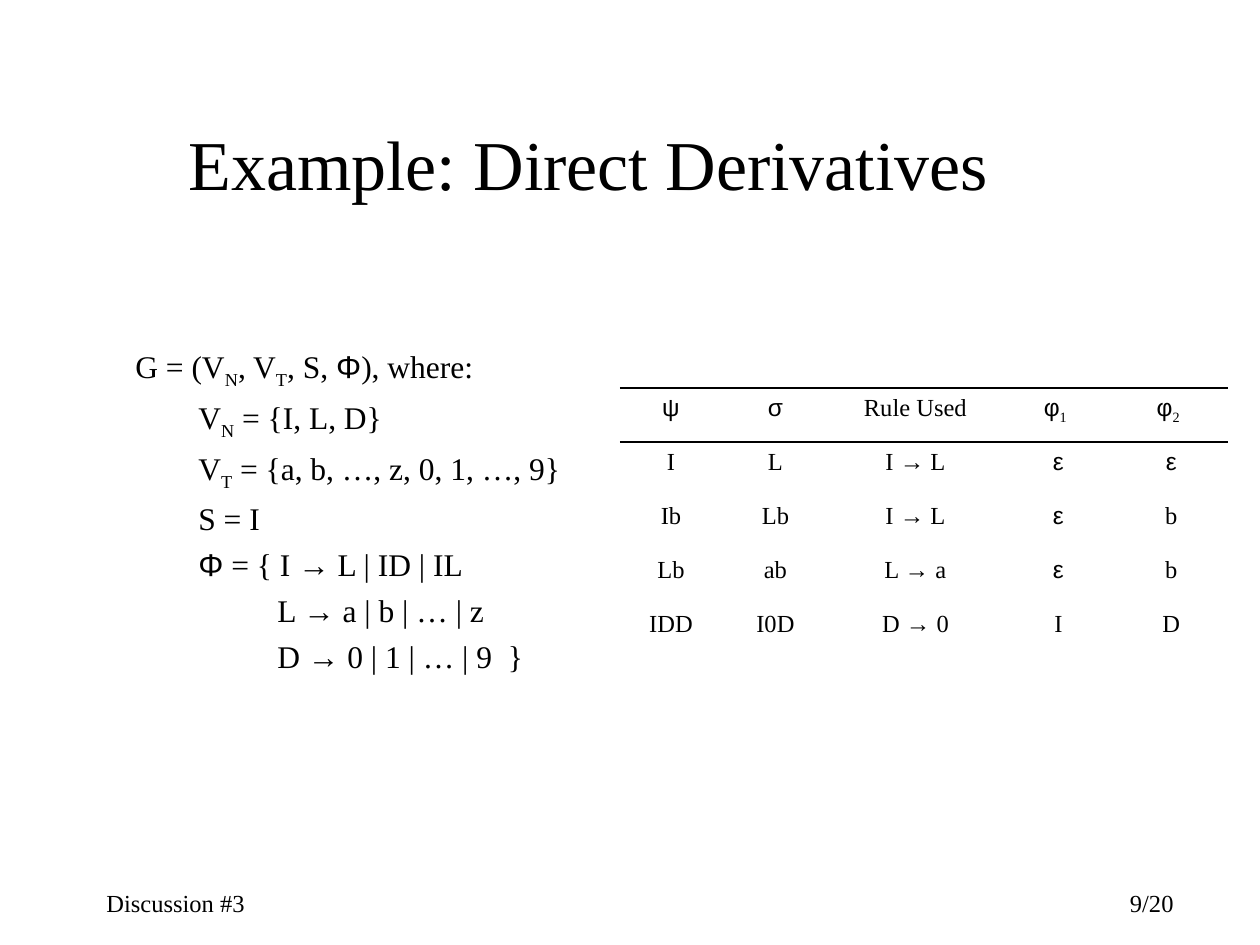
from dataclasses import dataclass

from lxml import etree
from pptx import Presentation
from pptx.dml.color import RGBColor
from pptx.enum.text import MSO_ANCHOR, PP_ALIGN
from pptx.oxml.ns import qn
from pptx.util import Emu, Pt

LEFT, CENTER, RIGHT = PP_ALIGN.LEFT, PP_ALIGN.CENTER, PP_ALIGN.RIGHT
TOP, MIDDLE = MSO_ANCHOR.TOP, MSO_ANCHOR.MIDDLE
EMU_PER_PX = 914400 / 126
COLORS = {"text": "000000", "rule": "000000"}
SERIF, SANS = "Times New Roman", "Arial"
SANS_CHARS = "Φψσφε→"
RULE_WIDTH = Pt(1.5)


@dataclass
class Line:
    text: str
    indent: int = 0
    space_before: float = 0


@dataclass
class TextBox:
    left: int
    top: int
    width: int
    height: int
    size: int
    lines: list[Line]
    align: PP_ALIGN = LEFT
    anchor: MSO_ANCHOR = TOP
    inset_top: int = 6


BOXES = [
    TextBox(94, 882, 262, 42, 14, [Line("Discussion #3")]),
    TextBox(924, 882, 262, 42, 14, [Line("9/20")], RIGHT),
    TextBox(53, 84, 1071, 158, 40, [Line("Example: Direct Derivatives")], CENTER, MIDDLE),
    TextBox(84, 262, 1071, 567, 18, [
        Line("G = (V_N, V_T, S, Φ), where:", 39),
        Line("V_N = {I, L, D}", 102, 4.5),
        Line("V_T = {a, b, …, z, 0, 1, …, 9}", 102, 4.5),
        Line("S = I", 102, 4.5),
        Line("Φ = { I → L | ID | IL", 102, 4.5),
        Line("L → a | b | … | z", 181, 4.5),
        Line("D → 0 | 1 | … | 9  }", 181, 4.5),
    ], inset_top=85),
]

COLUMN_WIDTHS = [102, 107, 173, 113, 113]
ROW_HEIGHT = 54
DERIVATIONS = [
    ["ψ", "σ", "Rule Used", "φ_1 ", "φ_2 "],
    ["I", "L", "I → L", "ε", "ε"],
    ["Ib", "Lb", "I → L", "ε", "b"],
    ["Lb", "ab", "L → a", "ε", "b"],
    ["IDD", "I0D", "D → 0", "I", "D"],
    [""] * 5,
]


def px(n: int) -> Emu:
    return Emu(round(n * EMU_PER_PX))


def split_runs(text: str) -> list[tuple[str, bool, bool]]:
    """Split into (text, is_sans, is_subscript); "_" lowers the next character."""
    runs = []
    subscript = False
    for ch in text:
        if ch == "_":
            subscript = True
            continue
        style = (ch in SANS_CHARS, subscript)
        if runs and runs[-1][1:] == style:
            runs[-1] = (runs[-1][0] + ch, *style)
        else:
            runs.append((ch, *style))
        subscript = False
    return runs


def write_line(p, line: Line, size: int, align: PP_ALIGN) -> None:
    p.alignment = align
    p.space_before = Pt(line.space_before)
    p.font.name = SERIF
    p.font.size = Pt(size)
    p.font.color.rgb = RGBColor.from_string(COLORS["text"])
    if line.indent:
        p._p.get_or_add_pPr().set("marL", str(px(line.indent)))
    for text, sans, subscript in split_runs(line.text):
        r = p.add_run()
        r.text = text
        if sans:
            r.font.name = SANS
        if subscript:
            r._r.get_or_add_rPr().set("baseline", "-25000")


def add_text(slide, box: TextBox) -> None:
    sp = slide.shapes.add_textbox(px(box.left), px(box.top), px(box.width), px(box.height))
    tf = sp.text_frame
    tf.word_wrap = True
    tf.vertical_anchor = box.anchor
    tf.margin_top = px(box.inset_top)
    for i, line in enumerate(box.lines):
        p = tf.add_paragraph() if i else tf.paragraphs[0]
        write_line(p, line, box.size, box.align)


def set_borders(cell, ruled: set[str]) -> None:
    """Rule the named sides of a cell and clear the others."""
    tc_pr = cell._tc.get_or_add_tcPr()
    for i, side in enumerate(("lnL", "lnR", "lnT", "lnB")):
        ln = etree.Element(qn(f"a:{side}"), w=str(RULE_WIDTH if side in ruled else 0))
        if side in ruled:
            fill = etree.SubElement(ln, qn("a:solidFill"))
            etree.SubElement(fill, qn("a:srgbClr"), val=COLORS["rule"])
        else:
            etree.SubElement(ln, qn("a:noFill"))
        tc_pr.insert(i, ln)


def add_derivations(slide, left: int, top: int) -> None:
    rows, cols = len(DERIVATIONS), len(COLUMN_WIDTHS)
    table = slide.shapes.add_table(
        rows, cols, px(left), px(top), px(sum(COLUMN_WIDTHS)), px(ROW_HEIGHT * rows)
    ).table
    table.first_row = table.horz_banding = False
    for column, width in zip(table.columns, COLUMN_WIDTHS):
        column.width = px(width)
    for i, texts in enumerate(DERIVATIONS):
        table.rows[i].height = px(ROW_HEIGHT)
        ruled = {0: {"lnT", "lnB"}, 1: {"lnT"}}.get(i, set())
        for j, text in enumerate(texts):
            cell = table.cell(i, j)
            cell.fill.background()
            set_borders(cell, ruled)
            write_line(cell.text_frame.paragraphs[0], Line(text, space_before=3.5), 14, CENTER)


def main() -> None:
    prs = Presentation()
    prs.slide_width, prs.slide_height = px(1260), px(945)
    slide = prs.slides.add_slide(prs.slide_layouts[6])
    for box in BOXES:
        add_text(slide, box)
    add_derivations(slide, 620, 388)
    prs.save("out.pptx")


if __name__ == "__main__":
    main()
